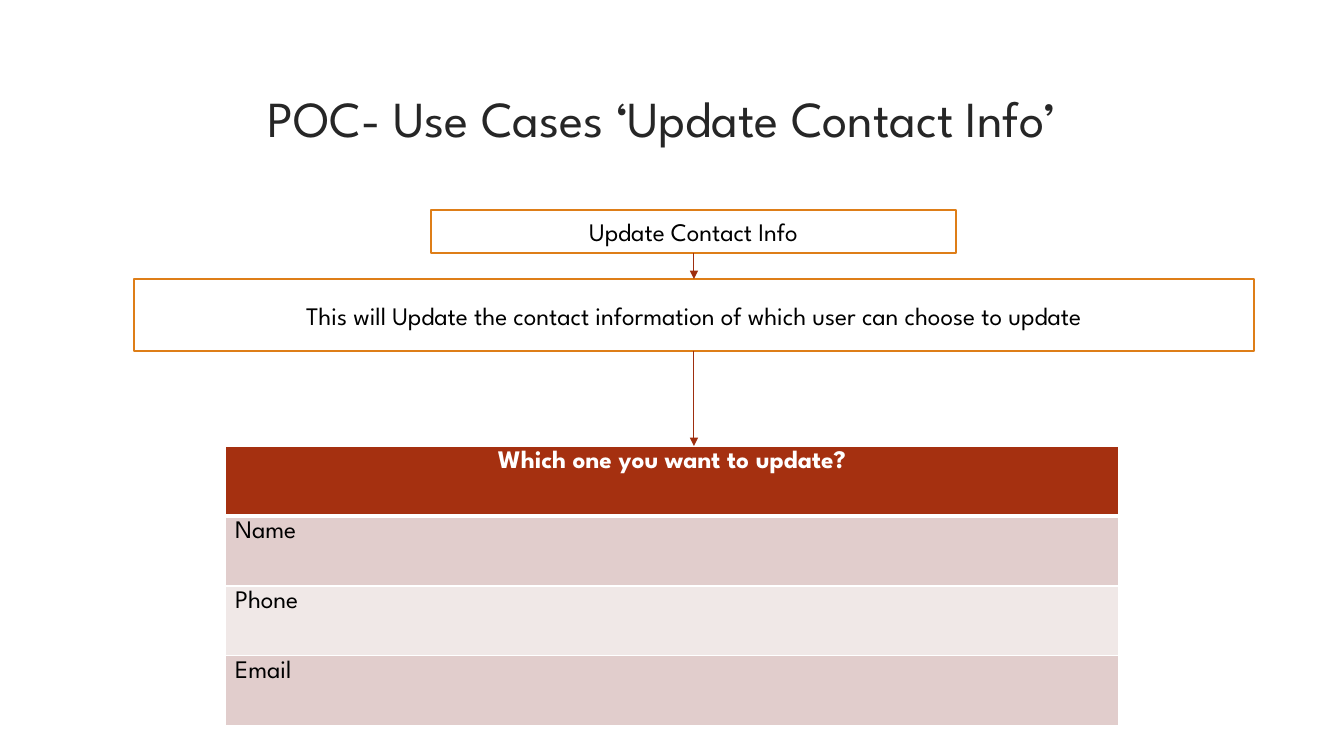
from lxml.etree import SubElement
from pptx import Presentation
from pptx.dml.color import RGBColor
from pptx.enum.shapes import MSO_CONNECTOR, MSO_SHAPE
from pptx.enum.text import MSO_ANCHOR, PP_ALIGN
from pptx.oxml.ns import qn
from pptx.util import Pt

TITLE = "POC- Use Cases ‘Update Contact Info’"
TITLE_BOX = (76, 69, 1172, 96)
# text, (left, top, width, height)
STEPS = [
    ("Update Contact Info", (431, 210, 525, 43)),
    ("This will Update the contact information of which user can choose to update",
     (134, 279, 1120, 72)),
]
QUESTION = "Which one you want to update?"
CHOICES = ["Name", "Phone", "Email"]
TABLE_LEFT, TABLE_TOP, TABLE_WIDTH, ROW_HEIGHT = 225, 446, 894, 70
FLOW_X = 694

FONT = "League Spartan"
WHITE = RGBColor(0xFF, 0xFF, 0xFF)
BLACK = RGBColor(0, 0, 0)
TITLE_GRAY = RGBColor(0x26, 0x26, 0x26)
ORANGE = RGBColor(0xDE, 0x7E, 0x18)
ARROW_RED = RGBColor(0x9E, 0x2E, 0x0F)
HEADER_RED = RGBColor(0xA5, 0x30, 0x10)
BANDS = [RGBColor(0xE1, 0xCD, 0xCC), RGBColor(0xF0, 0xE8, 0xE7)]


def px(*lengths):
    """Turn pixels into EMU."""
    return [round(length * 914400 / 100.8) for length in lengths]


def write(frame, text, size, color, align=PP_ALIGN.CENTER, bold=False):
    """Put one styled paragraph into a text frame."""
    frame.word_wrap = True
    paragraph = frame.paragraphs[0]
    paragraph.text = text
    paragraph.alignment = align
    font = paragraph.font
    font.name, font.size, font.bold = FONT, Pt(size), bold
    font.color.rgb = color


def add_step(slide, text, box):
    """Add an outlined box of the flow."""
    shape = slide.shapes.add_shape(MSO_SHAPE.RECTANGLE, *px(*box))
    shape.shadow.inherit = False
    shape.fill.solid()
    shape.fill.fore_color.rgb = WHITE
    shape.line.color.rgb = ORANGE
    shape.line.width = Pt(1.25)
    shape.text_frame.vertical_anchor = MSO_ANCHOR.MIDDLE
    write(shape.text_frame, text, 18, BLACK)


def add_arrow(slide, top, bottom):
    """Add a downward arrow on the flow axis."""
    arrow = slide.shapes.add_connector(
        MSO_CONNECTOR.STRAIGHT, *px(FLOW_X, top, FLOW_X, bottom))
    arrow.line.color.rgb = ARROW_RED
    arrow.line.width = Pt(0.75)
    SubElement(arrow.line._get_or_add_ln(), qn("a:tailEnd"), type="triangle")
    SubElement(arrow._element.spPr, qn("a:effectLst"))


def set_borders(cell, top, bottom):
    """Give a cell white borders; top and bottom widths are in points."""
    properties = cell._tc.get_or_add_tcPr()
    widths = {"a:lnL": 1, "a:lnR": 1, "a:lnT": top, "a:lnB": bottom}
    for tag, width in widths.items():
        border = SubElement(properties, qn(tag), w=str(Pt(width)))
        fill = SubElement(border, qn("a:solidFill"))
        SubElement(fill, qn("a:srgbClr"), val=str(WHITE))


def add_choices(slide):
    """Add the table with the question and its choices."""
    texts = [QUESTION] + CHOICES
    box = (TABLE_LEFT, TABLE_TOP, TABLE_WIDTH, ROW_HEIGHT * len(texts))
    table = slide.shapes.add_table(len(texts), 1, *px(*box)).table
    for row, text in enumerate(texts):
        cell = table.cell(row, 0)
        header = row == 0
        set_borders(cell, 3 if row == 1 else 1, 3 if header else 1)
        cell.fill.solid()
        cell.fill.fore_color.rgb = HEADER_RED if header else BANDS[(row - 1) % 2]
        write(cell.text_frame, text, 18, WHITE if header else BLACK,
              PP_ALIGN.CENTER if header else PP_ALIGN.LEFT, header)


presentation = Presentation()
presentation.slide_width, presentation.slide_height = px(1344, 756)
slide = presentation.slides.add_slide(presentation.slide_layouts[6])

title = slide.shapes.add_textbox(*px(*TITLE_BOX)).text_frame
title.vertical_anchor = MSO_ANCHOR.MIDDLE
write(title, TITLE, 36, TITLE_GRAY)

for text, box in STEPS:
    add_step(slide, text, box)
add_choices(slide)

next_tops = [box[1] for _, box in STEPS[1:]] + [TABLE_TOP]
for (_, (_, top, _, height)), next_top in zip(STEPS, next_tops):
    add_arrow(slide, top + height, next_top)

presentation.save("out.pptx")
